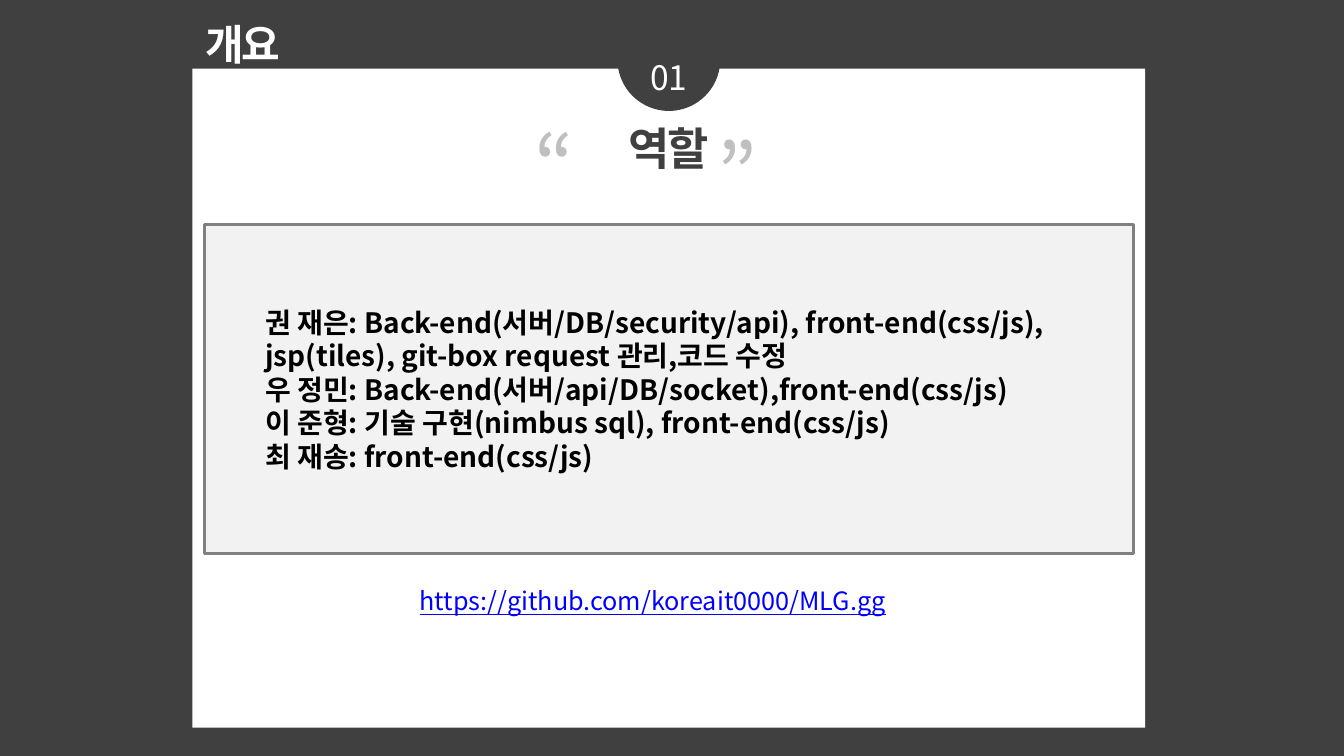
from pptx import Presentation
from pptx.dml.color import RGBColor
from pptx.enum.shapes import MSO_SHAPE
from pptx.enum.text import MSO_ANCHOR, MSO_AUTO_SIZE, PP_ALIGN
from pptx.oxml.ns import qn
from pptx.util import Inches, Pt

RECTANGLE, OVAL = MSO_SHAPE.RECTANGLE, MSO_SHAPE.OVAL
LEFT, CENTER = PP_ALIGN.LEFT, PP_ALIGN.CENTER
TOP, MIDDLE = MSO_ANCHOR.TOP, MSO_ANCHOR.MIDDLE

# Content
SECTION = "개요"
NUMBER = "01"
TITLE = "역할"
ROLES = [
    "권 재은: Back-end(서버/DB/security/api), front-end(css/js), "
    "jsp(tiles), git-box request 관리,코드 수정",
    "우 정민: Back-end(서버/api/DB/socket),front-end(css/js)",
    "이 준형: 기술 구현(nimbus sql), front-end(css/js)",
    "최 재송: front-end(css/js)",
]
LINK = "https://github.com/koreait0000/MLG.gg"

# Style
FONT = "Noto Sans CJK KR"
COLORS = {
    "dark": "404040", "white": "FFFFFF", "box": "F2F2F2", "border": "808080",
    "quote": "BFBFBF", "text": "000000", "link": "0000FF",
}

# Layout: top, width, height in percent of the slide, centred on one axis
AXIS = 49.77
BOXES = {
    "panel": (9.07, 70.89, 87.2),
    "badge": (1.07, 7.65, 13.6),
    "section": (1.73, 7.5, 8.13),
    "number": (6.93, 8.85, 6.67),
    "roles": (29.73, 69.09, 43.47),
    "title": (15.33, 58.51, 8.53),
    "open": (14.4, 11.78, 14.8),
    "close": (15.47, 5.93, 14.8),
    "link": (76.8, 38.56, 9.47),
}
CENTERS = {"section": 18.08, "open": 44.9, "close": 55.63}

presentation = Presentation()
presentation.slide_width, presentation.slide_height = Inches(13.33), Inches(7.5)


def color(name):
    return RGBColor.from_string(COLORS[name])


def box(name):
    """Return left, top, width and height of a named part."""
    top, width, height = BOXES[name]
    left = CENTERS.get(name, AXIS) - width / 2
    slide_width, slide_height = presentation.slide_width, presentation.slide_height
    return [int(share * full / 100) for share, full in (
        (left, slide_width), (top, slide_height),
        (width, slide_width), (height, slide_height))]


def write(shape, lines, size, ink, bold=False, underline=None, align=LEFT,
          anchor=TOP, spacing=0, indent=0, wrap=True):
    frame = shape.text_frame
    frame.auto_size = MSO_AUTO_SIZE.NONE
    frame.word_wrap = wrap
    frame.vertical_anchor = anchor
    for index, line in enumerate(lines):
        paragraph = frame.paragraphs[0] if index == 0 else frame.add_paragraph()
        paragraph.alignment = align
        paragraph.space_before = Pt(0)
        properties = paragraph._p.get_or_add_pPr()
        properties.set("marL", str(Inches(indent)))
        properties.set("indent", "0")
        properties.append(properties.makeelement(qn("a:buNone"), {}))
        run = paragraph.add_run()
        run.text = line
        font = run.font
        font.name, font.size = FONT, Pt(size)
        font.bold, font.underline = bold, underline
        font.color.rgb = color(ink)
        run_properties = run._r.get_or_add_rPr()
        run_properties.set("spc", str(int(spacing * 100)))
        latin = run_properties.find(qn("a:latin"))
        latin.addnext(latin.makeelement(qn("a:ea"), {"typeface": FONT}))


def add_plain(kind, name, fill):
    shape = slide.shapes.add_shape(kind, *box(name))
    shape.shadow.inherit = False
    shape.fill.solid()
    shape.fill.fore_color.rgb = color(fill)
    shape.line.fill.background()


def move_to_front(shape, name):
    shape.left, shape.top, shape.width, shape.height = box(name)
    shape.element.getparent().append(shape.element)


slide = presentation.slides.add_slide(presentation.slide_layouts[1])
slide.background.fill.solid()
slide.background.fill.fore_color.rgb = color("dark")

# White panel with the round number badge
add_plain(RECTANGLE, "panel", "white")
add_plain(OVAL, "badge", "dark")

# Role list
roles = slide.placeholders[1]
move_to_front(roles, "roles")
roles.fill.solid()
roles.fill.fore_color.rgb = color("box")
roles.line.color.rgb = color("border")
roles.line.width = Pt(2)
write(roles, ROLES, 20, "text", bold=True, anchor=MIDDLE, indent=0.5)

# Title
move_to_front(slide.shapes.title, "title")
write(slide.shapes.title, [TITLE], 32, "dark", bold=True, align=CENTER, spacing=-1.5)

# Section name, number, quotation marks and link
LABELS = [
    ("section", SECTION, 30, "white",
     dict(bold=True, align=CENTER, spacing=-1.5, wrap=False)),
    ("number", NUMBER, 24, "white", dict(align=CENTER)),
    ("open", "“", 60, "quote", {}),
    ("close", "”", 60, "quote", {}),
    ("link", LINK, 18, "link", dict(underline=True)),
]
for name, text, size, ink, options in LABELS:
    write(slide.shapes.add_textbox(*box(name)), [text], size, ink, **options)

presentation.save("out.pptx")
